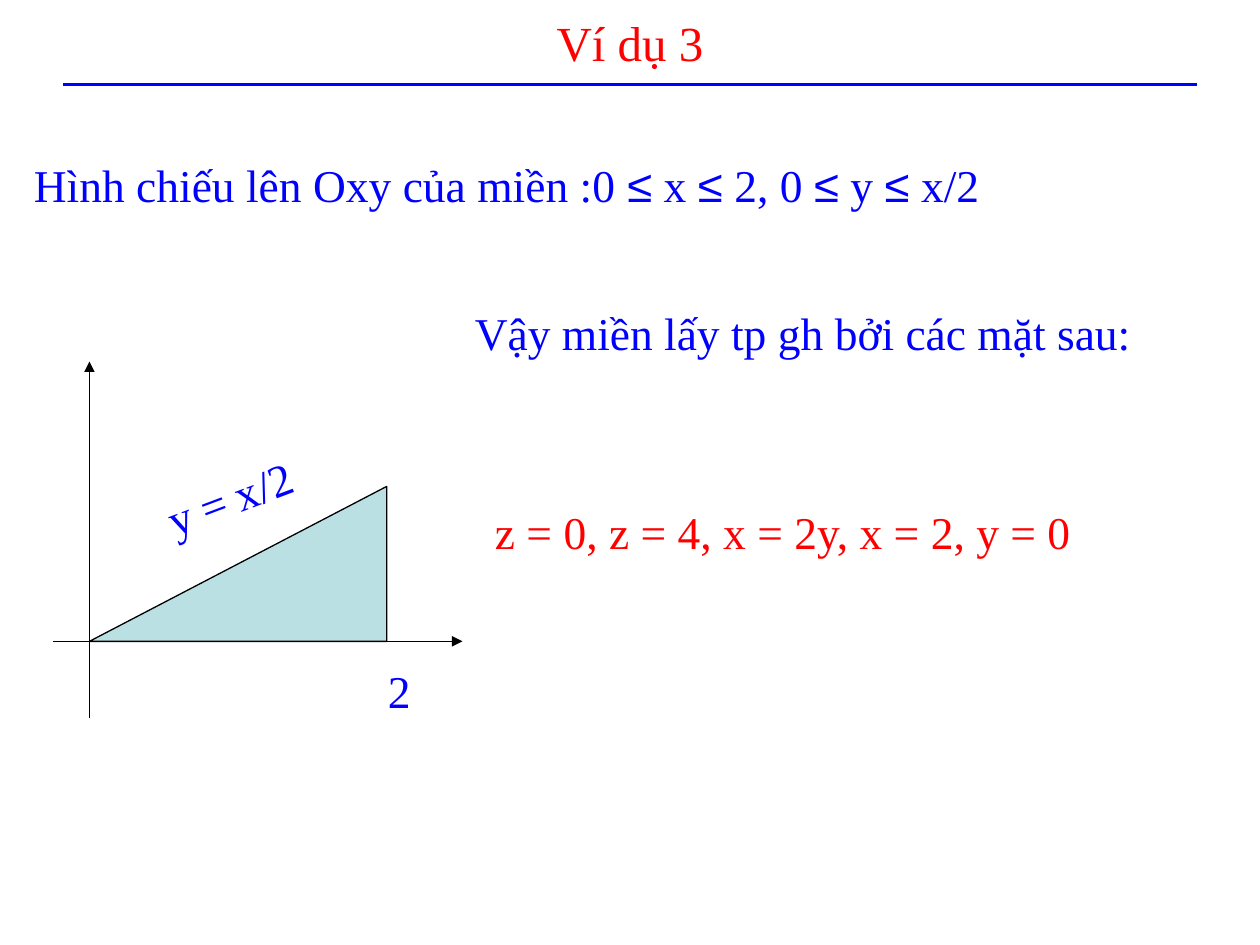
from itertools import groupby

from lxml.etree import SubElement
from pptx import Presentation
from pptx.dml.color import RGBColor
from pptx.enum.shapes import MSO_CONNECTOR, MSO_SHAPE
from pptx.enum.text import MSO_ANCHOR, PP_ALIGN
from pptx.oxml.ns import qn
from pptx.util import Inches, Pt

BLUE = RGBColor(0x00, 0x00, 0xFF)
RED = RGBColor(0xFF, 0x00, 0x00)
BLACK = RGBColor(0x00, 0x00, 0x00)
PALE_TEAL = RGBColor(0xBA, 0xE0, 0xE3)


class SlideBuilder:
    text_font = "Times New Roman"
    symbol_font = "Arial"
    body_size = Pt(26)

    def __init__(self, prs):
        self.s = prs.slides.add_slide(prs.slide_layouts[6])

    def text(self, text, left, top, width, height=0.54, color=BLUE,
             size=body_size, align=PP_ALIGN.LEFT, anchor=MSO_ANCHOR.TOP,
             rotation=0):
        sp = self.s.shapes.add_textbox(
            Inches(left), Inches(top), Inches(width), Inches(height))
        sp.rotation = rotation
        tf = sp.text_frame
        frame_format = {"word_wrap": True, "vertical_anchor": anchor}
        for name, value in frame_format.items():
            setattr(tf, name, value)
        p = tf.paragraphs[0]
        p.alignment = align
        # The sign ≤ has its own font
        for is_symbol, chars in groupby(text, key=lambda char: char == "≤"):
            r = p.add_run()
            r.text = "".join(chars)
            font_format = {
                "name": self.symbol_font if is_symbol else self.text_font,
                "size": size,
            }
            for name, value in font_format.items():
                setattr(r.font, name, value)
            r.font.color.rgb = color
        return sp

    def line(self, x1, y1, x2, y2, color=BLACK, width=0.75, arrow=False):
        cxn = self.s.shapes.add_connector(
            MSO_CONNECTOR.STRAIGHT,
            Inches(x1), Inches(y1), Inches(x2), Inches(y2))
        cxn.line.color.rgb = color
        cxn.line.width = Pt(width)
        if arrow:
            SubElement(cxn.line._get_or_add_ln(), qn("a:tailEnd"),
                       type="triangle")
        SubElement(cxn._element.spPr, qn("a:effectLst"))
        return cxn

    def right_triangle(self, left, top, width, height, rotation):
        sp = self.s.shapes.add_shape(
            MSO_SHAPE.RIGHT_TRIANGLE,
            Inches(left), Inches(top), Inches(width), Inches(height))
        sp.rotation = rotation
        sp.shadow.inherit = False
        sp.fill.solid()
        sp.fill.fore_color.rgb = PALE_TEAL
        sp.line.color.rgb = BLACK
        sp.line.width = Pt(0.75)
        return sp


def main():
    prs = Presentation()
    prs.slide_width = Inches(10)
    prs.slide_height = Inches(7.5)
    b = SlideBuilder(prs)

    # Title and rule
    b.line(0.5, 0.67, 9.5, 0.67, color=BLUE, width=1.5)
    b.text("Ví dụ 3", 0.5, 0, 9, 0.67, color=RED, size=Pt(28),
           align=PP_ALIGN.CENTER, anchor=MSO_ANCHOR.MIDDLE)

    # Projection onto Oxy
    b.text("Hình chiếu lên Oxy của miền :0 ≤ x ≤ 2, 0 ≤ y ≤ x/2",
           0.17, 1.2, 9.58)

    # Axes and region, with the origin at the triangle's sharp corner
    origin_x, origin_y = 0.71, 5.09
    base, rise = 2.36, 1.23
    b.line(origin_x, 5.7, origin_x, 2.87, arrow=True)
    b.line(0.42, origin_y, 3.67, origin_y, arrow=True)
    b.right_triangle(origin_x + (base - rise) / 2,
                     origin_y - (base + rise) / 2, rise, base, rotation=270)
    b.text("2", 2.98, 5.21, 0.49)
    b.text("y = x/2", 1.2, 3.62, 1.57, rotation=339.4)

    # Bounding surfaces
    b.text("Vậy miền lấy tp gh bởi các mặt sau:", 3.67, 2.37, 6)
    b.text("z = 0, z = 4, x = 2y, x = 2, y = 0", 3.83, 3.95, 5.92, color=RED)

    prs.save("out.pptx")


if __name__ == "__main__":
    main()
